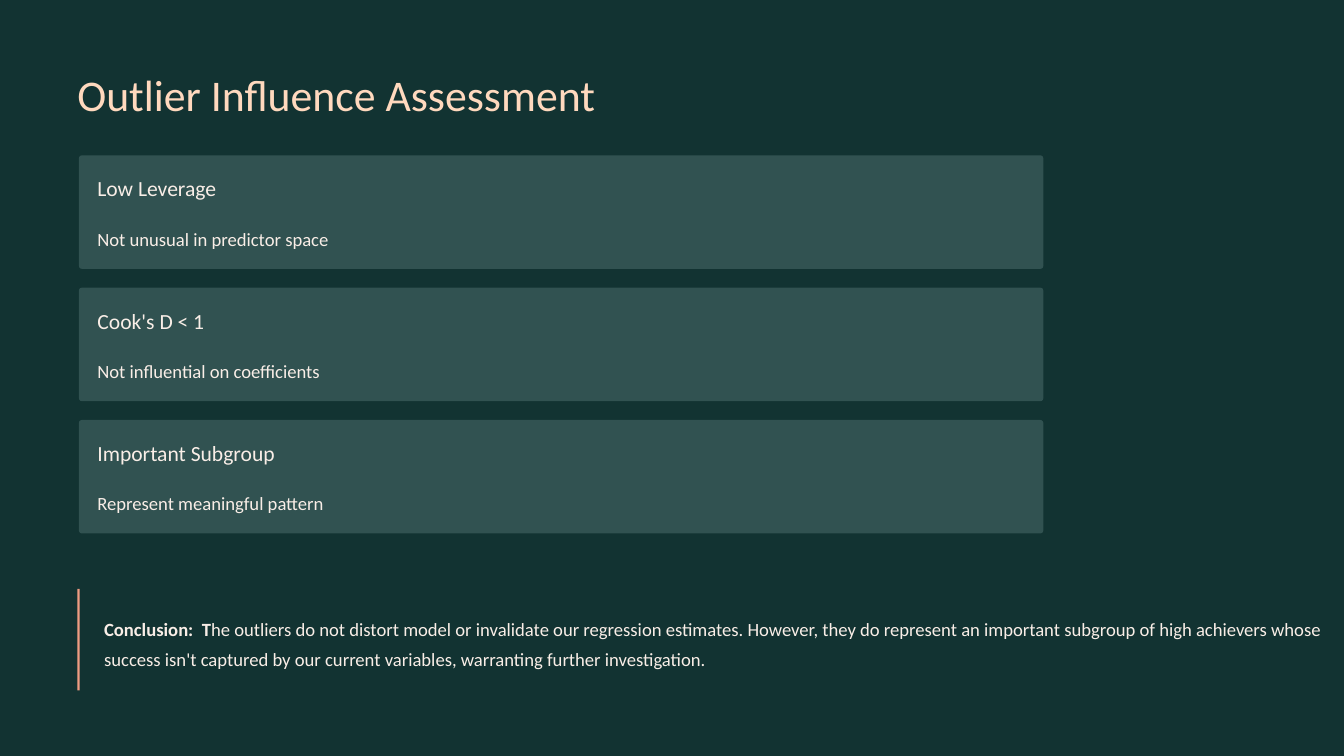
from pptx import Presentation
from pptx.dml.color import RGBColor
from pptx.enum.shapes import MSO_SHAPE
from pptx.enum.text import MSO_ANCHOR, MSO_AUTO_SIZE, PP_ALIGN
from pptx.util import Inches, Pt

BACKGROUND, CARD, ACCENT = "123332", "315251", "EF9C82"
TITLE = {"size": Pt(37.5), "name": "Calibri", "bold": False}
HEADING = {"size": Pt(18.5), "name": "Calibri", "bold": False}
BODY = {"size": Pt(16), "name": "Calibri", "bold": False}
BODY_BOLD = {**BODY, "bold": True}
PEACH, CREAM = "FFD9BE", "F9EEE7"

CARDS = [
    ("Low Leverage", "Not unusual in predictor space"),
    ("Cook's D < 1", "Not influential on coefficients"),
    ("Important Subgroup", "Represent meaningful pattern"),
]
CONCLUSION = [
    ("Conclusion:  T", BODY_BOLD),
    ("he outliers do not distort model or invalidate our regression estimates. "
     "However, they do represent an important subgroup of high achievers whose "
     "success isn't captured by our current variables, warranting further "
     "investigation.", BODY),
]


def paint(fill, color):
    fill.solid()
    fill.fore_color.rgb = RGBColor.from_string(color)


def write(sp, runs, color, spacing):
    tf = sp.text_frame
    frame = {"word_wrap": True, "auto_size": MSO_AUTO_SIZE.NONE,
             "vertical_anchor": MSO_ANCHOR.TOP, "margin_left": 0,
             "margin_top": 0, "margin_right": 0, "margin_bottom": 0}
    for key, value in frame.items():
        setattr(tf, key, value)
    p = tf.paragraphs[0]
    p.alignment = PP_ALIGN.LEFT
    p.line_spacing = Pt(spacing)
    for text, style in runs:
        r = p.add_run()
        r.text = text
        for key, value in style.items():
            setattr(r.font, key, value)
        r.font.color.rgb = RGBColor.from_string(color)


def add_text(s, x, y, w, h, runs, spacing):
    sp = s.shapes.add_textbox(Inches(x), Inches(y), Inches(w), Inches(h))
    write(sp, runs, CREAM, spacing)


def add_block(s, kind, x, y, w, h, color):
    sp = s.shapes.add_shape(kind, Inches(x), Inches(y), Inches(w), Inches(h))
    sp.shadow.inherit = False
    paint(sp.fill, color)
    sp.line.fill.background()
    return sp


def add_title(s, x, y, w, h, text):
    sp = s.shapes.title
    sp.left, sp.top, sp.width, sp.height = map(Inches, (x, y, w, h))
    write(sp, [(text, TITLE)], PEACH, 47)


def add_card(s, x, y, w, h, heading, detail):
    sp = add_block(s, MSO_SHAPE.ROUNDED_RECTANGLE, x, y, w, h, CARD)
    sp.adjustments[0] = 0.025
    pad = 0.22
    add_text(s, x + pad, y + pad, w / 2, 0.33, [(heading, HEADING)], 23.5)
    add_text(s, x + pad, y + 0.77, w - 2 * pad, 0.36, [(detail, BODY)], 25.5)


def add_cards(s, x, y, w, h, cards):
    card_h = 1.35
    pitch = (h - card_h) / (len(cards) - 1)
    for i, (heading, detail) in enumerate(cards):
        add_card(s, x, y + i * pitch, w, card_h, heading, detail)


def add_conclusion(s, x, y, w, h, runs):
    indent = 0.32
    add_text(s, x + indent, y + 0.26, w - indent, h, runs, 25.5)
    add_block(s, MSO_SHAPE.RECTANGLE, x, y, 0.03, h, ACCENT)


def main():
    prs = Presentation()
    prs.slide_width, prs.slide_height = Inches(16), Inches(9)
    s = prs.slides.add_slide(prs.slide_layouts[5])
    paint(s.background.fill, BACKGROUND)
    add_title(s, 0.92, 0.78, 6.92, 0.65, "Outlier Influence Assessment")
    add_cards(s, 0.94, 1.85, 11.48, 4.5, CARDS)
    add_conclusion(s, 0.92, 7.01, 14.89, 1.21, CONCLUSION)
    prs.save("out.pptx")


if __name__ == "__main__":
    main()
